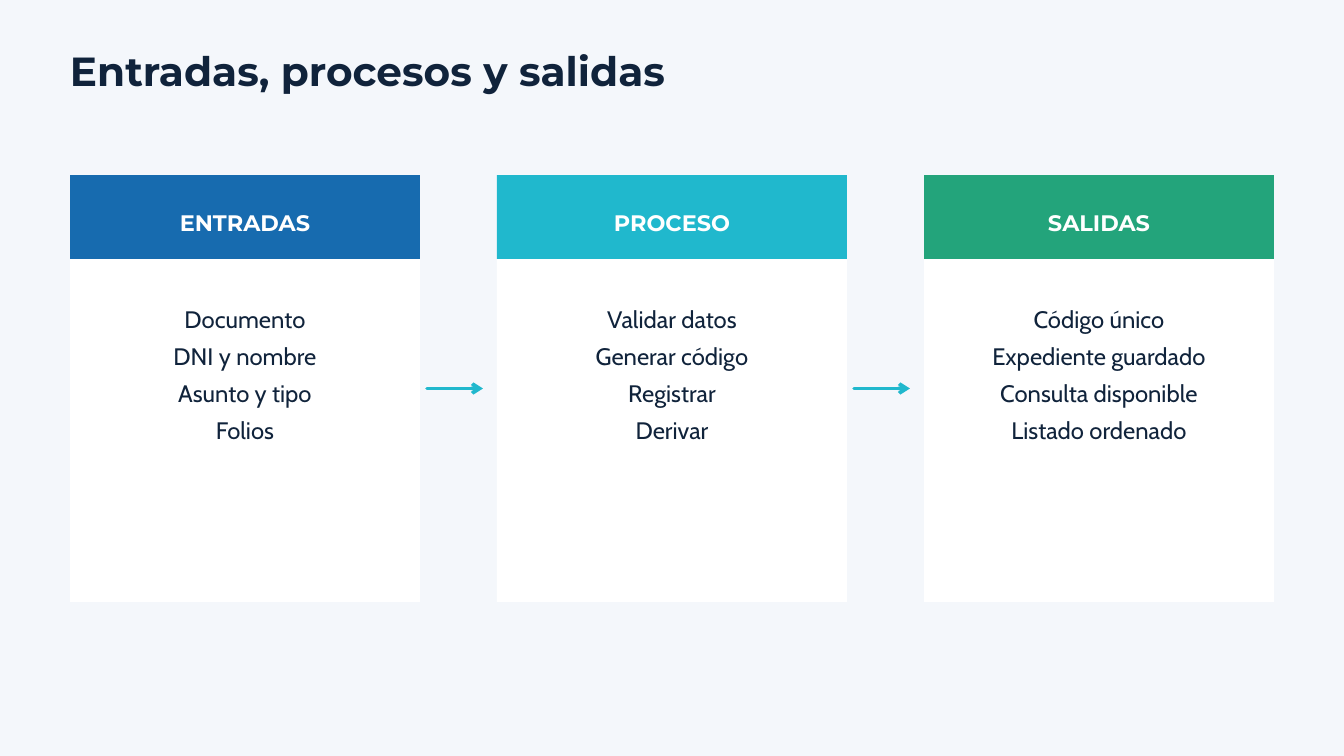
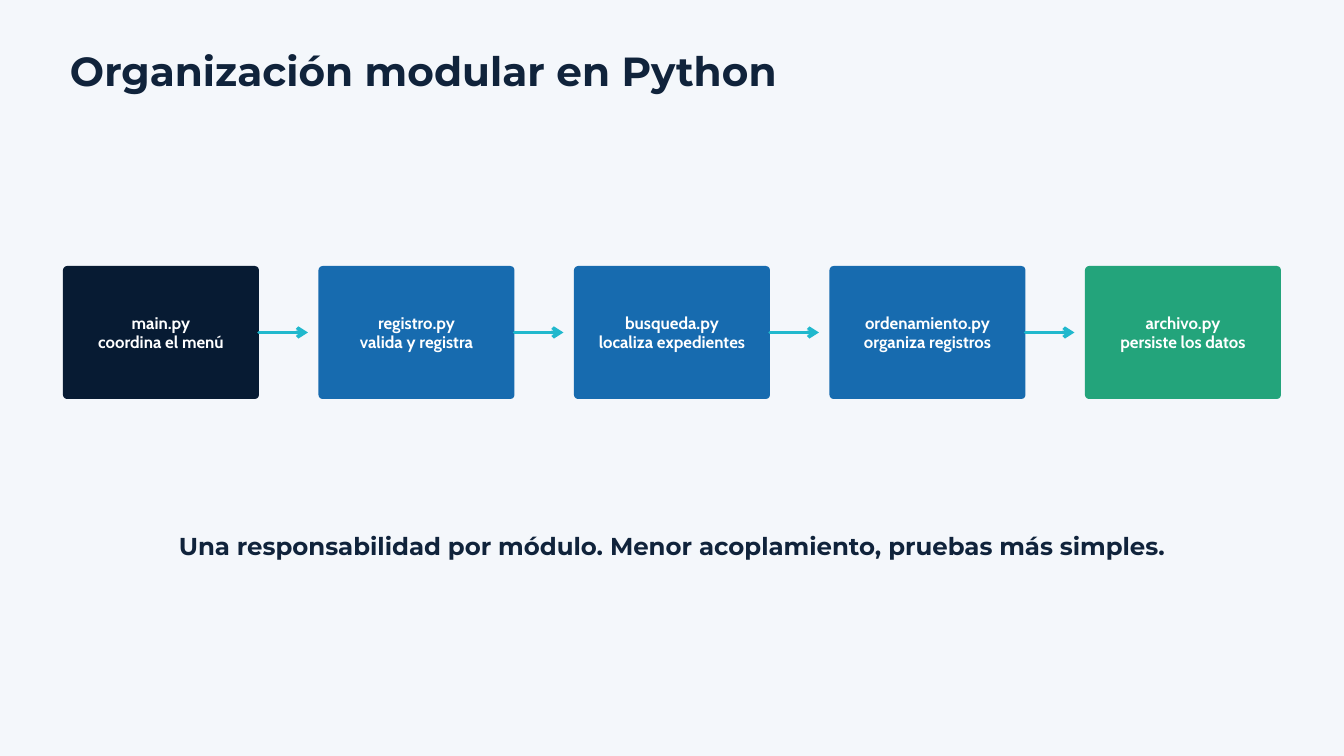
"""Build two slides on the flow and the modules of a document system."""
import lxml.etree
import pptx
import pptx.dml.color
import pptx.enum.shapes
import pptx.enum.text
import pptx.oxml.ns
import pptx.util

PX = 9525
HUES = {"back": "F4F7FB", "ink": "10233B", "white": "FFFFFF", "navy": "071B33",
        "blue": "176BAF", "cyan": "20B8CD", "green": "23A47B"}
HEAD, BODY = "Montserrat", "Cabin"
KINDS = {
    "title": {"name": HEAD, "size": 43.5, "bold": True, "lead": 45.7, "hue": "ink", "align": "LEFT"},
    "label": {"name": HEAD, "size": 24, "bold": True, "lead": 25.2, "hue": "white", "align": "CENTER"},
    "list": {"name": BODY, "size": 25.5, "bold": False, "lead": 39.5, "hue": "ink", "align": "CENTER"},
    "box": {"name": BODY, "size": 18, "bold": True, "lead": 20.7, "hue": "white", "align": "CENTER"},
    "close": {"name": HEAD, "size": 26.2, "bold": True, "lead": 27.6, "hue": "ink", "align": "CENTER"},
}
CARDS = [
    ("ENTRADAS", "blue", ["Documento", "DNI y nombre", "Asunto y tipo", "Folios"]),
    ("PROCESO", "cyan", ["Validar datos", "Generar código", "Registrar", "Derivar"]),
    ("SALIDAS", "green", ["Código único", "Expediente guardado",
                          "Consulta disponible", "Listado ordenado"]),
]
PARTS = [
    ("main.py", "coordina el menú", "navy"),
    ("registro.py", "valida y registra", "blue"),
    ("busqueda.py", "localiza expedientes", "blue"),
    ("ordenamiento.py", "organiza registros", "blue"),
    ("archivo.py", "persiste los datos", "green"),
]


def paint(hue):
    return pptx.dml.color.RGBColor.from_string(HUES[hue])


def scale(*spots):
    return [pptx.util.Emu(spot * PX) for spot in spots]


class Deck:
    def __init__(self):
        self.show = pptx.Presentation()
        self.show.slide_width, self.show.slide_height = scale(1920, 1080)
        self.slide = None

    def page(self, title):
        self.slide = self.show.slides.add_slide(self.show.slide_layouts[6])
        fill = self.slide.background.fill
        fill.solid()
        fill.fore_color.rgb = paint("back")
        self.text(100, 75, 1500, 61, [title], "title")

    def letter(self, shape, lines, kind, inset=0, anchor="TOP"):
        style = KINDS[kind]
        frame = shape.text_frame
        edge = pptx.util.Emu(inset * PX)
        setup = {"word_wrap": True, "margin_left": edge, "margin_top": edge,
                 "margin_right": edge, "margin_bottom": edge,
                 "vertical_anchor": pptx.enum.text.MSO_ANCHOR[anchor]}
        for key, value in setup.items():
            setattr(frame, key, value)
        looks = {"name": style["name"], "size": pptx.util.Pt(style["size"]),
                 "bold": style["bold"]}
        for index, line in enumerate(lines):
            para = frame.add_paragraph() if index else frame.paragraphs[0]
            para.alignment = pptx.enum.text.PP_ALIGN[style["align"]]
            para.line_spacing = pptx.util.Pt(style["lead"])
            run = para.add_run()
            run.text = line
            for key, value in looks.items():
                setattr(run.font, key, value)
            run.font.color.rgb = paint(style["hue"])

    def text(self, left, top, width, height, lines, kind):
        shape = self.slide.shapes.add_textbox(*scale(left, top, width, height))
        self.letter(shape, lines, kind)

    def block(self, left, top, width, height, hue, curve=0):
        form = pptx.enum.shapes.MSO_SHAPE["ROUNDED_RECTANGLE" if curve else "RECTANGLE"]
        shape = self.slide.shapes.add_shape(form, *scale(left, top, width, height))
        if curve:
            shape.adjustments[0] = curve / min(width, height)
        shape.shadow.inherit = False
        shape.fill.solid()
        shape.fill.fore_color.rgb = paint(hue)
        shape.line.fill.background()
        return shape

    def arrow(self, left, top, width, start=None):
        line = self.slide.shapes.add_connector(
            pptx.enum.shapes.MSO_CONNECTOR.STRAIGHT, *scale(left, top, left + width, top))
        if start is not None:
            line.begin_connect(start, 3)
        line.line.color.rgb = paint("cyan")
        line.line.width = pptx.util.Pt(3.75)
        name = pptx.oxml.ns.qn
        props = line._element.spPr
        stroke = props.find(name("a:ln"))
        stroke.set("cap", "rnd")
        lxml.etree.SubElement(stroke, name("a:tailEnd"), type="arrow")
        lxml.etree.SubElement(props, name("a:effectLst"))


def flow(deck):
    deck.page("Entradas, procesos y salidas")
    for index, (label, hue, items) in enumerate(CARDS):
        left = 100 + 610 * index
        deck.block(left, 250, 500, 610, "white")
        deck.block(left, 250, 500, 120, hue)
        deck.text(left + 45, 303, 410, 35, [label], "label")
        deck.text(left + 60, 424, 380, 203, items, "list")
        if index < len(CARDS) - 1:
            deck.arrow(left + 510, 555, 80)


def split(deck):
    deck.page("Organización modular en Python")
    for index, (name, role, hue) in enumerate(PARTS):
        left = 90 + 365 * index
        box = deck.block(left, 380, 280, 190, hue, 6)
        deck.letter(box, [name, role], "box", 6, "MIDDLE")
        if index < len(PARTS) - 1:
            deck.arrow(left + 280, 475, 70, box)
    deck.text(250, 764, 1420, 37, [
        "Una responsabilidad por módulo. Menor acoplamiento, pruebas más simples."], "close")


def main():
    deck = Deck()
    flow(deck)
    split(deck)
    deck.show.save("out.pptx")


if __name__ == "__main__":
    main()
